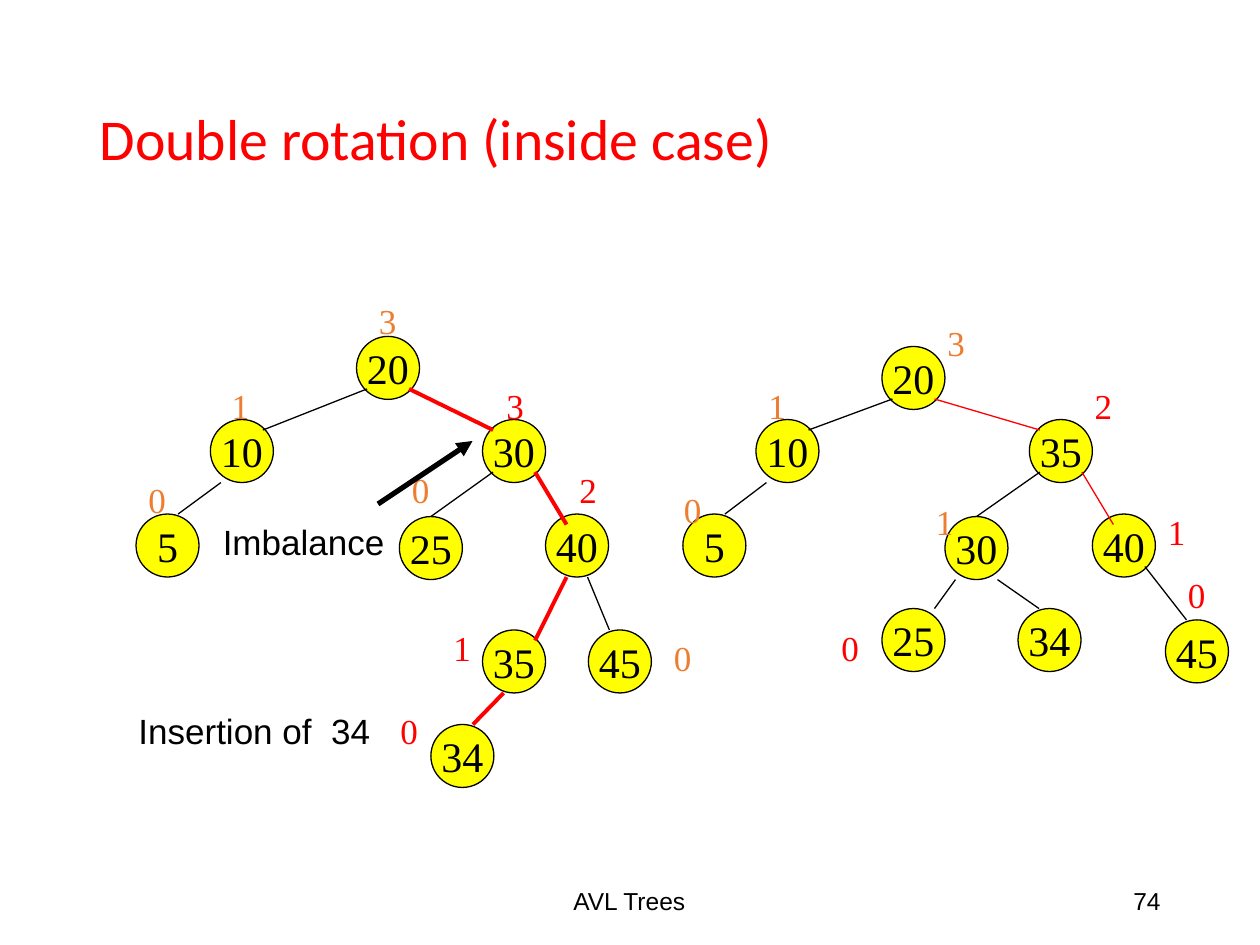
from dataclasses import dataclass
from lxml.etree import SubElement
from pptx import Presentation
from pptx.dml.color import RGBColor as RGB
from pptx.enum.shapes import MSO_CONNECTOR as LINE, MSO_SHAPE as SHAPE
from pptx.enum.text import MSO_ANCHOR as ANCHOR, MSO_AUTO_SIZE as AUTO, PP_ALIGN as ALIGN
from pptx.oxml.ns import qn
from pptx.util import Inches, Pt


@dataclass(frozen=True)
class Theme:
    """Colours, fonts and sizes of the slide."""
    red: RGB = RGB(0xFF, 0, 0)
    orange: RGB = RGB(0xED, 0x7D, 0x31)
    yellow: RGB = RGB(0xFF, 0xFF, 0)
    black: RGB = RGB(0, 0, 0)
    head: str = "Calibri"
    sans: str = "Arial"
    serif: str = "Times New Roman"
    title: int = 33
    node: int = 24
    label: int = 20
    foot: int = 14
    thin: float = 0.75
    bold: float = 2.25
    arrow: float = 3


T = Theme()
SIDE = 0.5
STEP = SIDE / 6

BEFORE = {
    "box": (1, 2),
    "nodes": {20: (1.83, 0.67), 10: (0.67, 1.33), 30: (2.83, 1.33),
              25: (2.17, 2.1), 40: (3.33, 2.08), 5: (0.08, 2.08),
              45: (3.67, 3), 35: (2.83, 3), 34: (2.42, 3.75)},
    "edges": [(20, (1, 5), 10, (5, 1)), (30, (1, 5), 25, (3, 0)),
              (10, (1, 6), 5, (4, 0)), (40, (4, 6), 45, (2, 0))],
    "hot": [(20, (5, 5), 30, (1, 1)), (30, (5, 5), 40, (2, 1)),
            (40, (2, 6), 35, (5, 1)), (35, (2, 6), 34, (4, 0))],
    "calm": [(3, 1.91, 0.33), (1, 0.74, 1), (0, 2.17, 1.67),
             (0, 0.08, 1.75), (0, 4.25, 3)],
    "alert": [(3, 2.92, 1), (2, 3.5, 1.67), (1, 2.5, 2.92), (0, 2.08, 3.58)],
    "width": T.bold,
}
AFTER = {
    "box": (5, 2),
    "nodes": {20: (2, 0.75), 10: (1, 1.33), 35: (3.17, 1.33),
              30: (2.5, 2.1), 40: (3.67, 2.08), 5: (0.42, 2.08),
              45: (4.25, 2.92), 25: (2, 2.83), 34: (3.08, 2.83)},
    "edges": [(20, (1, 5), 10, (5, 1)), (35, (1, 5), 30, (3, 0)),
              (10, (1, 6), 5, (4, 0)), (40, (5, 5), 45, (2, 0)),
              (30, (1, 6), 25, (5, 0)), (30, (5, 6), 34, (2, 0))],
    "hot": [(20, (5, 5), 35, (1, 1)), (35, (5, 5), 40, (2, 1))],
    "calm": [(3, 2.42, 0.5), (1, 1, 1), (0, 0.33, 1.83), (1, 2.33, 1.92)],
    "alert": [(2, 3.59, 1), (1, 4.17, 2), (0, 4.33, 2.5), (0, 1.58, 2.92)],
    "width": T.thin,
}


def style(frame, text, font, size, color, align=ALIGN.LEFT):
    """Set and format the text of a frame."""
    frame.text = text
    para = frame.paragraphs[0]
    para.alignment = align
    run = para.runs[0].font
    run.name, run.size, run.color.rgb = font, Pt(size), color


def note(slide, text, box, font, size, color, align=ALIGN.LEFT, wrap=True):
    """Add a text box and return its frame."""
    frame = slide.shapes.add_textbox(*map(Inches, box)).text_frame
    frame.word_wrap = wrap
    style(frame, text, font, size, color, align)
    return frame


def link(slide, start, end, color, width):
    """Add a straight line between two points."""
    line = slide.shapes.add_connector(LINE.STRAIGHT, *map(Inches, (*start, *end)))
    line.line.color.rgb, line.line.width = color, Pt(width)
    SubElement(line._element.spPr, qn("a:effectLst"))
    return line


def circle(slide, key, left, top):
    """Add one tree node."""
    node = slide.shapes.add_shape(SHAPE.OVAL, *map(Inches, (left, top, SIDE, SIDE)))
    node.shadow.inherit = False
    node.fill.solid()
    node.fill.fore_color.rgb = T.yellow
    node.line.color.rgb, node.line.width = T.black, Pt(T.thin)
    frame = node.text_frame
    frame.word_wrap, frame.vertical_anchor = False, ANCHOR.MIDDLE
    style(frame, str(key), T.serif, T.node, T.black, ALIGN.CENTER)


def tree(slide, data):
    """Draw the nodes, edges and heights of a tree in its box."""
    left, top = data["box"]
    spots = {key: (left + x, top + y) for key, (x, y) in data["nodes"].items()}

    def port(key, at):
        """Find a point on the sixfold grid of a node."""
        return [base + step * STEP for base, step in zip(spots[key], at)]

    for key, spot in spots.items():
        circle(slide, key, *spot)
    for kind, color, width in (("edges", T.black, T.thin), ("hot", T.red, data["width"])):
        for up, leave, down, enter in data[kind]:
            link(slide, port(up, leave), port(down, enter), color, width)
    for kind, color in (("calm", T.orange), ("alert", T.red)):
        for rank, x, y in data[kind]:
            note(slide, str(rank), (left + x, top + y, 0.34, 0.44),
                 T.serif, T.label, color, wrap=False)


def title(slide, text, box):
    """Place and format the title."""
    head = slide.shapes.title
    head.left, head.top, head.width, head.height = map(Inches, box)
    frame = head.text_frame
    frame.auto_size, frame.vertical_anchor = AUTO.NONE, ANCHOR.MIDDLE
    style(frame, text, T.head, T.title, T.red)
    frame.paragraphs[0].line_spacing = 0.9


def remarks(slide, left, top):
    """Add the two remarks and the arrow to the imbalance."""
    for text, x, y, wide in (("Imbalance", 0.67, 0, 1.5), ("Insertion of  34", 0, 1.5, 2.08)):
        note(slide, text, (left + x, top + y, wide, 0.44), T.sans, T.label, T.black)
    arrow = link(slide, (left + 2, top - 0.08), (left + 2.75, top - 0.58), T.black, T.arrow)
    SubElement(arrow.line._get_or_add_ln(), qn("a:tailEnd"), type="triangle")


def footer(slide, top, high):
    """Add the footer and the page number."""
    for text, left, wide, align in (("AVL Trees", 3.31, 3.37, ALIGN.CENTER),
                                    ("74", 7.06, 2.25, ALIGN.RIGHT)):
        frame = note(slide, text, (left, top, wide, high), T.sans, T.foot, T.black, align)
        frame.vertical_anchor = ANCHOR.MIDDLE


def main():
    """Build and save the slide."""
    deck = Presentation()
    deck.slide_width, deck.slide_height = Inches(10), Inches(7.5)
    slide = deck.slides.add_slide(deck.slide_layouts[5])
    footer(slide, 6.95, 0.4)
    title(slide, "Double rotation (inside case)", (0.69, 0.4, 8.63, 1.45))
    for data in (BEFORE, AFTER):
        tree(slide, data)
    remarks(slide, 1, 4.08)
    deck.save("out.pptx")


if __name__ == "__main__":
    main()
